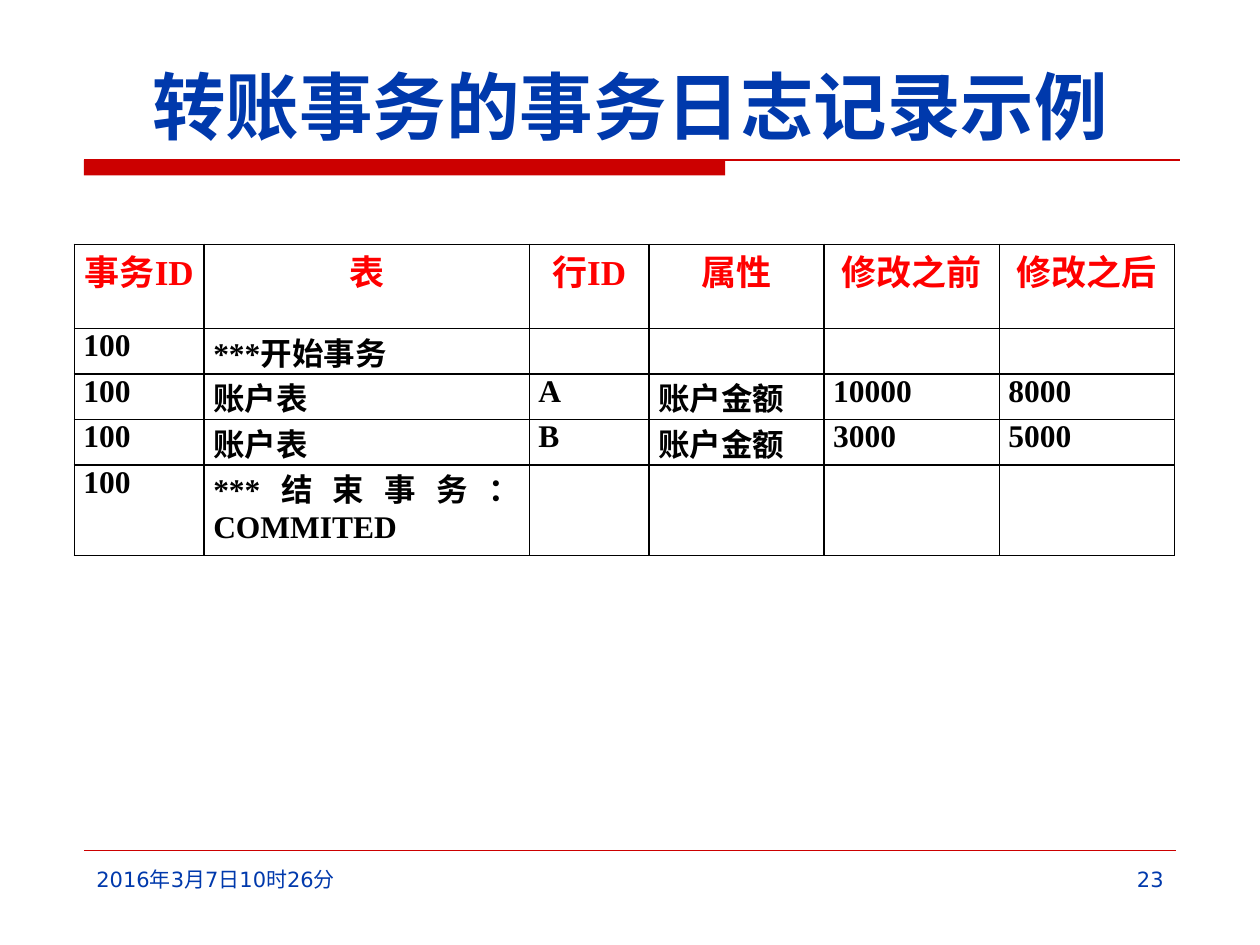
from dataclasses import dataclass

from lxml import etree
from pptx import Presentation
from pptx.dml.color import RGBColor
from pptx.enum import shapes, text
from pptx.oxml import ns
from pptx.util import Pt


@dataclass(frozen=True)
class Theme:
    blue: str = "0039AC"
    red: str = "CC0000"
    head: str = "FF0000"
    ink: str = "000000"
    cjk: str = "Noto Sans CJK SC"
    sans: str = "DejaVu Sans"
    serif: str = "Times New Roman"
    title: int = 42
    label: int = 20
    body: int = 18
    small: int = 12


THEME = Theme()
ALIGN = text.PP_ALIGN
HEADS = ["事务ID", "表", "行ID", "属性", "修改之前", "修改之后"]
ROWS = [
    ["100", "***开始事务", "", "", "", ""],
    ["100", "账户表", "A", "账户金额", "10000", "8000"],
    ["100", "账户表", "B", "账户金额", "3000", "5000"],
    ["100", "***结束事务：COMMITED", "", "", "", ""],
]
WIDTHS = [74.2, 185.8, 68.4, 100.1, 100.1, 100.1]
HEIGHTS = [28.8, 26, 26, 26, 51.8]


def child(node, tag, **attrs):
    return etree.SubElement(node, ns.qn(tag), attrs)


def write(frame, words, size, color, font, bold=False, align=ALIGN.LEFT):
    para = frame.paragraphs[0]
    para.alignment = align
    if not words:
        para.font.size = Pt(size)
        return
    run = para.add_run()
    run.text = words
    run.font.size = Pt(size)
    run.font.bold = bold
    run.font.name = font
    run.font.color.rgb = RGBColor.from_string(color)
    child(run._r.get_or_add_rPr(), "a:ea", typeface=THEME.cjk)


def label(slide, box, words, anchor=text.MSO_ANCHOR.TOP, **style):
    frame = slide.shapes.add_textbox(*map(Pt, box)).text_frame
    frame.word_wrap = True
    frame.vertical_anchor = anchor
    write(frame, words, **style)


def rule(slide, left, top, width, weight):
    line = slide.shapes.add_connector(
        shapes.MSO_CONNECTOR.STRAIGHT, Pt(left), Pt(top), Pt(left + width), Pt(top))
    line.line.color.rgb = RGBColor.from_string(THEME.red)
    line.line.width = Pt(weight)
    child(line._element.spPr, "a:effectLst")


def header(slide, left, top, width, height):
    label(slide, (left, top, width, height), "转账事务的事务日志记录示例",
          anchor=text.MSO_ANCHOR.BOTTOM, size=THEME.title, color=THEME.blue,
          font=THEME.cjk, bold=True, align=ALIGN.CENTER)
    inset, base = left + 3, top + height + 2.7
    bar = slide.shapes.add_shape(
        shapes.MSO_SHAPE.RECTANGLE, Pt(inset), Pt(base), Pt(366.4), Pt(8.7))
    bar.shadow.inherit = False
    bar.fill.solid()
    bar.fill.fore_color.rgb = RGBColor.from_string(THEME.red)
    bar.line.fill.background()
    rule(slide, inset, base, 626.4, 0.75)


def border(cell):
    props = cell._tc.get_or_add_tcPr()
    for side in ("L", "R", "T", "B"):
        edge = child(props, f"a:ln{side}", w=str(Pt(1)))
        child(child(edge, "a:solidFill"), "a:srgbClr", val=THEME.ink)


def log(slide, left, top, width, height):
    box = map(Pt, (left, top, width, height))
    table = slide.shapes.add_table(len(HEIGHTS), len(WIDTHS), *box).table
    table.horz_banding = table.first_row = False
    for col, size in zip(table.columns, WIDTHS):
        col.width = Pt(size)
    for row, size in zip(table.rows, HEIGHTS):
        row.height = Pt(size)
    head = dict(size=THEME.label, color=THEME.head, align=ALIGN.CENTER)
    body = dict(size=THEME.body, color=THEME.ink, align=ALIGN.JUSTIFY)
    for r, words in enumerate([HEADS] + ROWS):
        for c, word in enumerate(words):
            cell = table.cell(r, c)
            cell.margin_left = cell.margin_right = Pt(5.2)
            cell.margin_top = cell.margin_bottom = Pt(0)
            border(cell)
            cell.fill.background()
            write(cell.text_frame, word, font=THEME.serif, bold=True,
                  **(body if r else head))


def footer(slide, left, top, width, height):
    rule(slide, left, top, width, 0.25)
    style = dict(size=THEME.small, color=THEME.blue, font=THEME.sans)
    wide, base = 159, top + 5.8
    label(slide, (left, base, wide, height), "2016年3月7日10时26分", **style)
    label(slide, (left + width - wide, base, wide, height), "23",
          align=ALIGN.RIGHT, **style)


def main():
    deck = Presentation()
    deck.slide_width, deck.slide_height = Pt(720), Pt(540)
    slide = deck.slides.add_slide(deck.slide_layouts[6])
    header(slide, 45, 24, 630, 64.8)
    log(slide, 42.5, 139.7, sum(WIDTHS), sum(HEIGHTS))
    footer(slide, 48, 486, 624, 37.5)
    deck.save("out.pptx")


if __name__ == "__main__":
    main()
